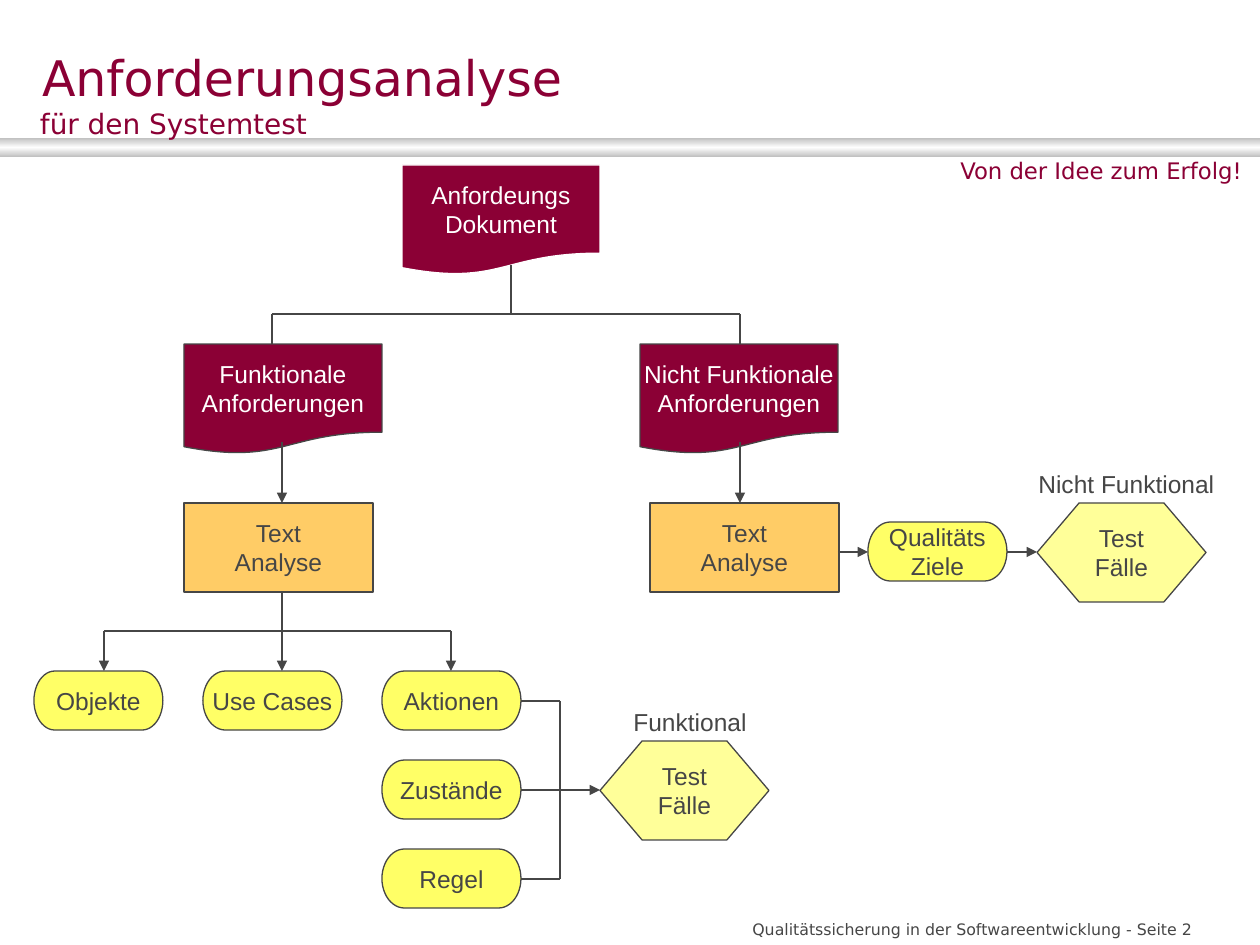
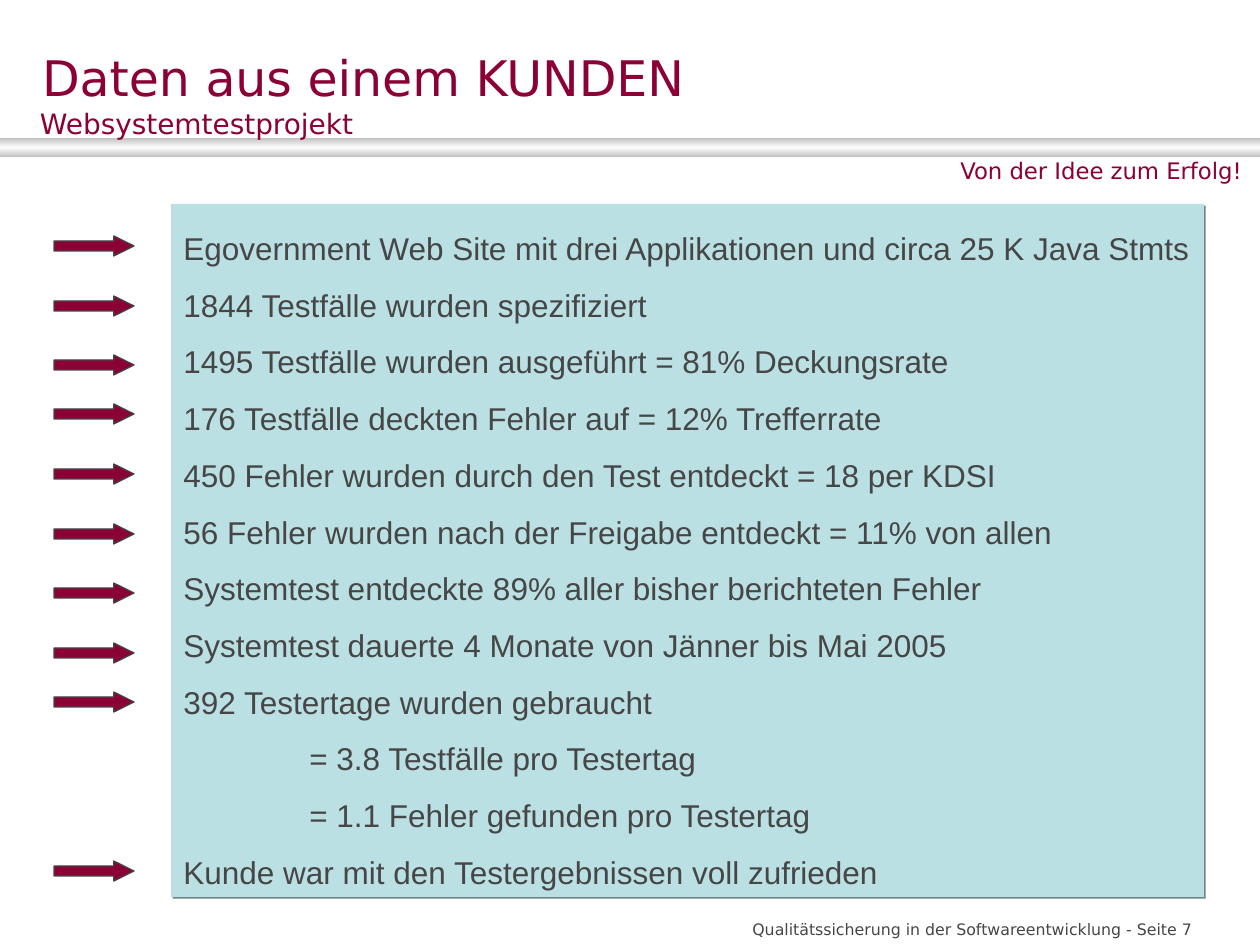
import copy
import pptx
import pptx.util
import pptx.dml.color
import pptx.enum.shapes
import pptx.enum.text
import pptx.oxml
import pptx.oxml.ns

SCALE = 914400 / 126  # EMU per px
COLORS = {
    "wine": "8B0035", "ink": "464646", "white": "FFFFFF",
    "orange": "FFCC66", "yellow": "FFFF66", "pale": "FFFF99",
    "teal": "BBE0E3", "shade": "6F8587", "grey": "C0C0C0", "shine": "FEFEFE",
}
HEAD, BODY = "DejaVu Sans", "Arial"
KIND = pptx.enum.shapes.MSO_SHAPE
ALIGN = pptx.enum.text.PP_ALIGN
ANCHOR = pptx.enum.text.MSO_ANCHOR


def px(*vals):
    return [round(val * SCALE) for val in vals]


def rgb(name):
    return pptx.dml.color.RGBColor.from_string(COLORS[name])


def node(tag, **attrs):
    item = pptx.oxml.parse_xml(f"<a:{tag} {pptx.oxml.ns.nsdecls('a')}/>")
    for key, val in attrs.items():
        item.set(key, val)
    return item


# Text and shapes

def write(shape, text, size, color="ink", font=BODY, align=ALIGN.LEFT,
          anchor=ANCHOR.TOP, wrap=True, inset=True):
    frame = shape.text_frame
    frame.text = text
    frame.auto_size = pptx.enum.text.MSO_AUTO_SIZE.NONE
    frame.word_wrap = wrap
    frame.vertical_anchor = anchor
    if not inset:
        frame.margin_left = frame.margin_right = 0
        frame.margin_top = frame.margin_bottom = 0
    for para in frame.paragraphs:
        para.alignment = align
        for run in para.runs:
            run.font.size = pptx.util.Pt(size)
            run.font.name = font
            run.font.color.rgb = rgb(color)


def label(slide, box, text, size, **style):
    write(slide.shapes.add_textbox(*px(*box)), text, size, **style)


def block(slide, kind, box, fill, line=None):
    shape = slide.shapes.add_shape(kind, *px(*box))
    shape.shadow.inherit = False
    shape.fill.solid()
    shape.fill.fore_color.rgb = rgb(fill)
    if line:
        shape.line.color.rgb = rgb(line)
        shape.line.width = pptx.util.Pt(0.75)
    else:
        shape.line.fill.background()
    return shape


def step(slide, kind, box, fill, text, color="ink", line="ink"):
    shape = block(slide, kind, box, fill, line)
    write(shape, text, 14, color, align=ALIGN.CENTER,
          anchor=ANCHOR.MIDDLE, wrap=False)
    return shape


def paper(slide, left, top, text, line="ink"):
    step(slide, KIND.FLOWCHART_DOCUMENT, (left, top, 198, 110), "wine",
         text, "white", line)


def pill(slide, left, top, text, width=139):
    step(slide, KIND.FLOWCHART_TERMINATOR, (left, top, width, 59),
         "yellow", text)


def cases(slide, left, top):
    shape = step(slide, KIND.HEXAGON, (left, top, 169, 99), "pale",
                 "Test\nFälle")
    shape.adjustments[0] = 0.425


def link(slide, x1, y1, x2, y2, arrow=False):
    line = slide.shapes.add_connector(
        pptx.enum.shapes.MSO_CONNECTOR.STRAIGHT, *px(x1, y1, x2, y2))
    line.line.color.rgb = rgb("ink")
    line.line.width = pptx.util.Pt(0.75)
    if arrow:
        line.line._get_or_add_ln().append(node("tailEnd", type="triangle"))
    line.element.spPr.append(node("effectLst"))


# Shared frame: footer, band, slogan, title

def band(slide):
    shape = block(slide, KIND.RECTANGLE, (0, 138, 1260, 19), "grey")
    shape.fill.gradient()
    shape.fill.gradient_angle = 90
    stops = shape.element.spPr.find(".//" + pptx.oxml.ns.qn("a:gsLst"))
    stops.insert(1, copy.deepcopy(stops[0]))
    marks = ((0, "grey"), (0.5, "shine"), (1, "grey"))
    for stop, (place, color) in zip(shape.fill.gradient_stops, marks):
        stop.position = place
        stop.color.rgb = rgb(color)


def start(deck, title, sub, page):
    slide = deck.slides.add_slide(deck.slide_layouts[5])
    label(slide, (740, 914, 520, 34),
          f"Qualitätssicherung in der Softwareentwicklung - Seite {page}",
          9, font=HEAD)
    band(slide)
    label(slide, (939, 151, 315, 40), "Von der Idee zum Erfolg!", 13,
          color="wine", font=HEAD, align=ALIGN.RIGHT)
    head = slide.shapes.title
    head.left, head.top, head.width, head.height = px(42, 42, 912, 69)
    look = dict(color="wine", font=HEAD, anchor=ANCHOR.MIDDLE, inset=False)
    write(head, title, 28, **look)
    label(slide, (40, 96, 869, 55), sub, 16, **look)
    return slide


# Slide: tree of requirements

def tree(deck):
    slide = start(deck, "Anforderungsanalyse", "für den Systemtest", 2)
    paper(slide, 402, 165, "Anfordeungs\nDokument", "white")
    paper(slide, 184, 344, "Funktionale\nAnforderungen")
    paper(slide, 640, 344, "Nicht Funktionale\nAnforderungen")
    for left in (184, 650):
        step(slide, KIND.RECTANGLE, (left, 503, 189, 89), "orange",
             "Text\nAnalyse")
    pill(slide, 34, 671, "Objekte", 129)
    pill(slide, 203, 671, "Use Cases")
    for row, text in enumerate(("Aktionen", "Zustände", "Regel")):
        pill(slide, 382, 671 + row * 89, text)
    pill(slide, 868, 522, "Qualitäts\nZiele")
    cases(slide, 600, 741)
    cases(slide, 1037, 503)
    label(slide, (621, 701, 139, 43), "Funktional", 14, wrap=False)
    label(slide, (1026, 463, 202, 43), "Nicht Funktional", 14, wrap=False)

    # Document to its two kinds
    link(slide, 511, 265, 511, 314)
    link(slide, 272, 314, 740, 314)
    for x in (272, 740):
        link(slide, x, 314, x, 344)
    for x in (282, 740):
        link(slide, x, 442, x, 503, True)

    # Analysis to objects, use cases and actions
    link(slide, 282, 592, 282, 671, True)
    link(slide, 104, 631, 451, 631)
    for x in (104, 451):
        link(slide, x, 631, x, 671, True)

    # Results to test cases
    link(slide, 560, 701, 560, 879)
    for y in (701, 879):
        link(slide, 521, y, 560, y)
    link(slide, 521, 790, 600, 790, True)
    for x in (838, 1007):
        link(slide, x, 552, x + 30, 552, True)


# Slide: project figures

FACTS = (
    "Egovernment Web Site mit drei Applikationen und circa 25 K Java Stmts",
    "1844 Testfälle wurden spezifiziert",
    "1495 Testfälle wurden ausgeführt = 81% Deckungsrate",
    "176 Testfälle deckten Fehler auf = 12% Trefferrate",
    "450 Fehler wurden durch den Test entdeckt = 18 per KDSI",
    "56 Fehler wurden nach der Freigabe entdeckt = 11% von allen",
    "Systemtest entdeckte 89% aller bisher berichteten Fehler",
    "Systemtest dauerte 4 Monate von Jänner bis Mai 2005",
    "392 Testertage wurden gebraucht",
    "= 3.8 Testfälle pro Testertag",
    "= 1.1 Fehler gefunden pro Testertag",
    "Kunde war mit den Testergebnissen voll zufrieden",
)


def panel(slide):
    shape = block(slide, KIND.RECTANGLE, (171, 204, 1033, 693), "teal")
    shade = node("outerShdw", dist="17780", dir="2700000", algn="ctr")
    shade.append(node("srgbClr", val=COLORS["shade"]))
    shape.element.spPr.find(pptx.oxml.ns.qn("a:effectLst")).append(shade)
    write(shape, "\n".join(FACTS), 18, wrap=False)
    for para in shape.text_frame.paragraphs:
        para.line_spacing = 1.5
        if para.text.startswith("="):
            para._p.get_or_add_pPr().set("marL", str(px(126)[0]))


def facts(deck):
    slide = start(deck, "Daten aus einem KUNDEN", "Websystemtestprojekt", 7)
    panel(slide)
    for top in (236, 296, 355, 404, 464, 524, 583, 643, 692, 861):
        arrow = block(slide, KIND.RIGHT_ARROW, (54, top, 80, 20),
                      "wine", "ink")
        arrow.adjustments[1] = 1.01


def main():
    deck = pptx.Presentation()
    deck.slide_width, deck.slide_height = px(1260, 945)
    tree(deck)
    facts(deck)
    deck.save("out.pptx")


if __name__ == "__main__":
    main()
